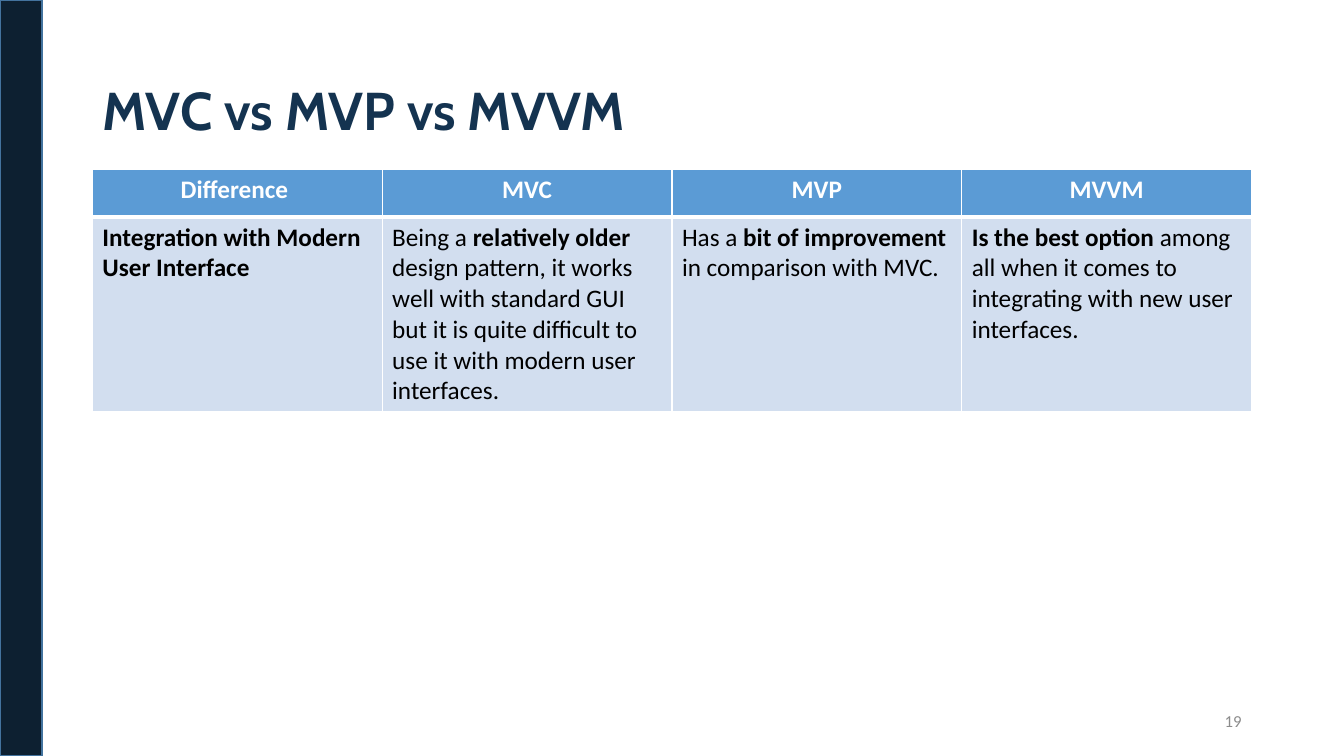
from dataclasses import dataclass

from lxml.etree import SubElement
from pptx import Presentation
from pptx.dml.color import RGBColor
from pptx.enum.shapes import MSO_SHAPE as Shape
from pptx.enum.text import MSO_ANCHOR as Anchor, MSO_AUTO_SIZE as AutoSize, PP_ALIGN as Align
from pptx.oxml.ns import qn
from pptx.util import Pt

WHITE = "FFFFFF"
LEFT, WIDTH = 66, 828


@dataclass(frozen=True)
class Span:
    text: str
    bold: bool = False


@dataclass(frozen=True)
class Column:
    heading: str
    spans: tuple[Span, ...]


@dataclass(frozen=True)
class RowStyle:
    height: float
    fill: str
    color: str
    align: Align
    top: float
    bottom: float


COLUMNS = (
    Column("Difference ", (Span("Integration with Modern User Interface", True),)),
    Column("MVC", (
        Span("Being a "),
        Span("relatively older ", True),
        Span("design pattern, it works well with standard GUI but it is quite "
             "difficult to use it with modern user interfaces."),
    )),
    Column("MVP", (
        Span("Has a "),
        Span("bit of improvement ", True),
        Span("in comparison with MVC."),
    )),
    Column("MVVM", (
        Span("Is the best option ", True),
        Span("among all when it comes to integrating with new user interfaces."),
    )),
)
HEADER = RowStyle(34, "5B9BD5", WHITE, Align.CENTER, 1, 3)
BODY = RowStyle(137, "D2DEEF", "000000", Align.LEFT, 3, 1)


def rgb(value: str) -> RGBColor:
    return RGBColor.from_string(value)


def set_font(p, name: str, size: float, color: str) -> None:
    p.font.name = name
    p.font.size = Pt(size)
    p.font.color.rgb = rgb(color)


def add_border(cell, side: str, width: float) -> None:
    ln = SubElement(cell._tc.get_or_add_tcPr(), qn(f"a:ln{side}"), w=str(Pt(width)))
    fill = SubElement(ln, qn("a:solidFill"))
    SubElement(fill, qn("a:srgbClr"), val=WHITE)


def fill_cell(cell, spans: tuple[Span, ...], style: RowStyle) -> None:
    for side, width in (("L", 1), ("R", 1), ("T", style.top), ("B", style.bottom)):
        add_border(cell, side, width)
    cell.fill.solid()
    cell.fill.fore_color.rgb = rgb(style.fill)
    p = cell.text_frame.paragraphs[0]
    p.alignment = style.align
    set_font(p, "Calibri", 18, style.color)
    for span in spans:
        r = p.add_run()
        r.text = span.text
        r.font.bold = span.bold


def add_side_bar(s) -> None:
    sp = s.shapes.add_shape(Shape.RECTANGLE, 0, 0, Pt(30), Pt(540))
    sp.shadow.inherit = False
    sp.fill.solid()
    sp.fill.fore_color.rgb = rgb("0D2031")
    sp.line.color.rgb = rgb("43739E")
    sp.line.width = Pt(1)


def set_title(s, text: str) -> None:
    sp = s.shapes.title
    sp.left, sp.top, sp.width, sp.height = Pt(LEFT), Pt(28.75), Pt(WIDTH), Pt(104.4)
    tf = sp.text_frame
    tf.text = text
    tf.auto_size = AutoSize.NONE
    tf.vertical_anchor = Anchor.MIDDLE
    p = tf.paragraphs[0]
    p.alignment = Align.LEFT
    p.line_spacing = 0.9
    set_font(p, "Cabin", 38, "143350")
    p.font.bold = True


def add_comparison(s) -> None:
    styles = (HEADER, BODY)
    height = sum(style.height for style in styles)
    table = s.shapes.add_table(
        len(styles), len(COLUMNS), Pt(LEFT), Pt(121), Pt(WIDTH), Pt(height)).table
    for row, style in zip(table.rows, styles):
        row.height = Pt(style.height)
    for i, column in enumerate(COLUMNS):
        fill_cell(table.cell(0, i), (Span(column.heading, True),), HEADER)
        fill_cell(table.cell(1, i), column.spans, BODY)


def add_page_number(s, number: str) -> None:
    sp = s.shapes.add_textbox(Pt(678), Pt(500.5), Pt(216), Pt(28.75))
    tf = sp.text_frame
    tf.text = number
    tf.word_wrap = True
    tf.vertical_anchor = Anchor.MIDDLE
    p = tf.paragraphs[0]
    p.alignment = Align.RIGHT
    set_font(p, "Calibri", 12, "8C8C8C")


def main() -> None:
    prs = Presentation()
    prs.slide_width, prs.slide_height = Pt(960), Pt(540)
    s = prs.slides.add_slide(prs.slide_layouts[5])
    add_side_bar(s)
    set_title(s, "MVC vs MVP vs MVVM")
    add_comparison(s)
    add_page_number(s, "19")
    prs.save("out.pptx")


if __name__ == "__main__":
    main()
